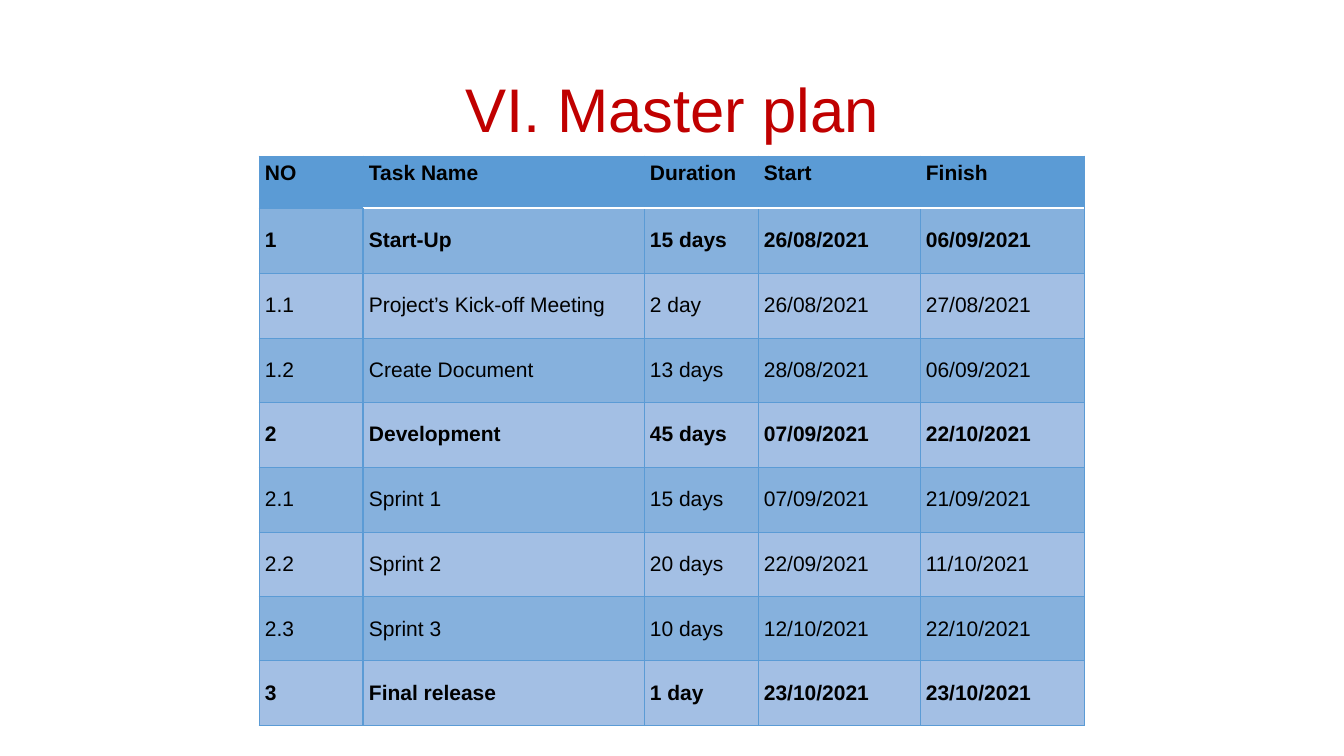
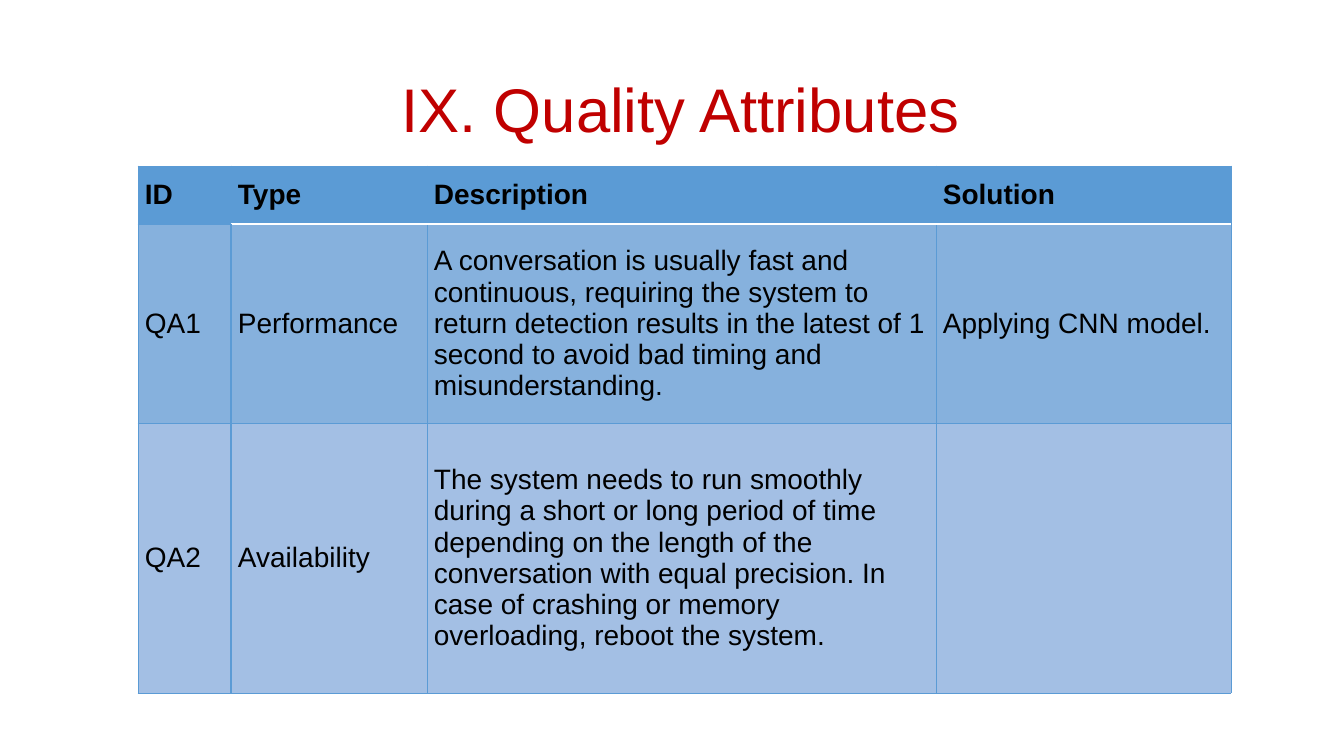
from lxml import etree
from pptx import Presentation
from pptx.dml.color import RGBColor
from pptx.enum.text import MSO_ANCHOR, PP_ALIGN
from pptx.oxml.ns import qn
from pptx.util import Pt

LEFT, CENTER, JUSTIFY = PP_ALIGN.LEFT, PP_ALIGN.CENTER, PP_ALIGN.JUSTIFY
TOP, MIDDLE = MSO_ANCHOR.TOP, MSO_ANCHOR.MIDDLE
EMU_PER_PX = 12192000 / 1344
FONT = "Arial"
COLORS = {
    "title": "C00000",
    "text": "000000",
    "header": "5B9BD5",
    "odd": "86B1DD",
    "even": "A3BFE4",
    "line": "5B9BD5",
    "rule": "FFFFFF",
}


def px(count):
    return round(count * EMU_PER_PX)


def style_text(paragraph, size, color, align, bold=False):
    paragraph.alignment = align
    for span in paragraph.runs:
        span.font.name = FONT
        span.font.size = Pt(size)
        span.font.bold = bold
        span.font.color.rgb = RGBColor.from_string(COLORS[color])


pages = [
    {
        "title": "VI. Master plan",
        "left": 259, "top": 156,
        "widths": [104, 281, 114, 162, 164],
        "heights": [52] + [65, 65, 64, 65] * 2,
        "size": 15, "inset": 6, "header_anchor": TOP,
        "bold_rows": {0, 1, 4, 8}, "left_columns": set(),
        "rows": [
            ("NO", "Task Name", "Duration", "Start", "Finish"),
            ("1", "Start-Up", "15 days", "26/08/2021", "06/09/2021"),
            ("1.1", "Project’s Kick-off Meeting", "2 day", "26/08/2021", "27/08/2021"),
            ("1.2", "Create Document", "13 days", "28/08/2021", "06/09/2021"),
            ("2", "Development", "45 days", "07/09/2021", "22/10/2021"),
            ("2.1", "Sprint 1", "15 days", "07/09/2021", "21/09/2021"),
            ("2.2", "Sprint 2", "20 days", "22/09/2021", "11/10/2021"),
            ("2.3", "Sprint 3", "10 days", "12/10/2021", "22/10/2021"),
            ("3", "Final release", "1 day", "23/10/2021", "23/10/2021"),
        ],
    },
    {
        "title": " IX. Quality Attributes",
        "left": 138, "top": 166,
        "widths": [93, 196, 509, 295],
        "heights": [58, 199, 270],
        "size": 20, "inset": 7, "header_anchor": MIDDLE,
        "bold_rows": {0}, "left_columns": {2},
        "rows": [
            ("ID", "Type", "Description", "Solution"),
            ("QA1", "Performance",
             "A conversation is usually fast and continuous, requiring the system to "
             "return detection results in the latest of 1 second to avoid bad timing "
             "and misunderstanding.",
             "Applying CNN model."),
            ("QA2", "Availability",
             "The system needs to run smoothly during a short or long period of time "
             "depending on the length of the conversation with equal precision. In "
             "case of crashing or memory overloading, reboot the system.",
             ""),
        ],
    },
]

deck = Presentation()
deck.slide_width, deck.slide_height = px(1344), px(756)

for content in pages:
    page = deck.slides.add_slide(deck.slide_layouts[5])
    title = page.shapes.title
    title.left, title.top, title.width, title.height = px(93), px(40), px(1159), px(146)
    title.text_frame.text = content["title"]
    title.text_frame.vertical_anchor = MIDDLE
    heading = title.text_frame.paragraphs[0]
    heading.line_spacing = 0.9
    style_text(heading, 44, "title", CENTER)

    rows, widths, heights = content["rows"], content["widths"], content["heights"]
    frame = page.shapes.add_table(
        len(rows), len(widths), px(content["left"]), px(content["top"]),
        px(sum(widths)), px(sum(heights)))
    table = frame.table
    table.horz_banding = False
    for column, width in zip(table.columns, widths):
        column.width = px(width)
    for row, height in zip(table.rows, heights):
        row.height = px(height)

    for row_index, texts in enumerate(rows):
        for column_index, text in enumerate(texts):
            cell = table.cell(row_index, column_index)
            cell.text_frame.text = text
            cell.vertical_anchor = MIDDLE if row_index else content["header_anchor"]
            inset = px(content["inset"])
            cell.margin_left = cell.margin_right = inset
            cell.margin_top = cell.margin_bottom = inset
            align = LEFT if row_index and column_index in content["left_columns"] else JUSTIFY
            style_text(cell.text_frame.paragraphs[0], content["size"], "text", align,
                       row_index in content["bold_rows"])

            borders = {side: ("line", 0.5) for side in ("lnL", "lnR", "lnT", "lnB")}
            if row_index and column_index < 2:
                borders["lnL" if column_index else "lnR"] = ("line", 1)
            if row_index < 2 and column_index:
                borders["lnT" if row_index else "lnB"] = ("rule", 1)
            properties = cell._tc.get_or_add_tcPr()
            for side, (color, width) in borders.items():
                line = etree.SubElement(properties, qn(f"a:{side}"), w=str(Pt(width)))
                fill = etree.SubElement(line, qn("a:solidFill"))
                etree.SubElement(fill, qn("a:srgbClr"), val=COLORS[color])

            band = ("odd" if row_index % 2 else "even") if row_index else "header"
            cell.fill.solid()
            cell.fill.fore_color.rgb = RGBColor.from_string(COLORS[band])

deck.save("out.pptx")
